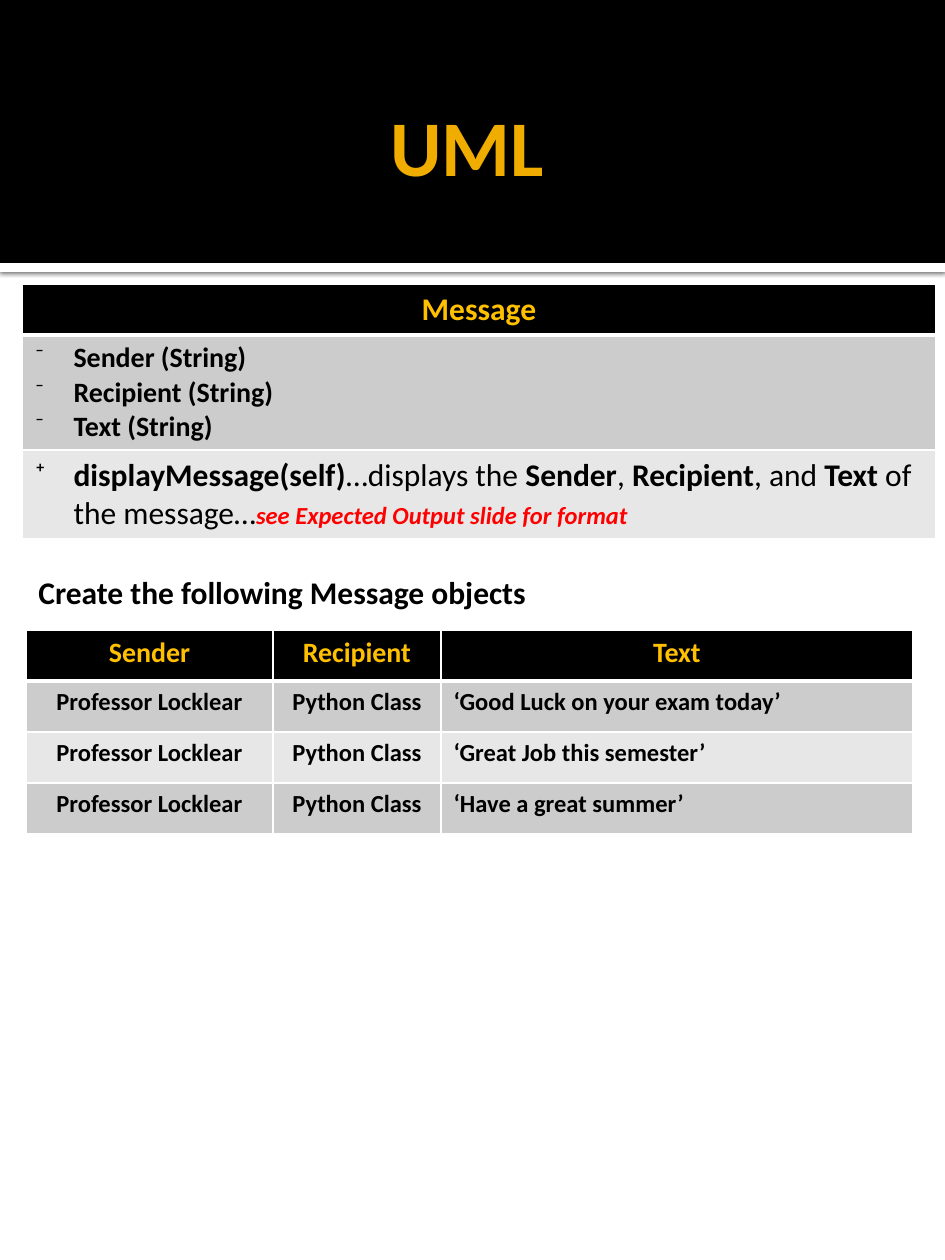
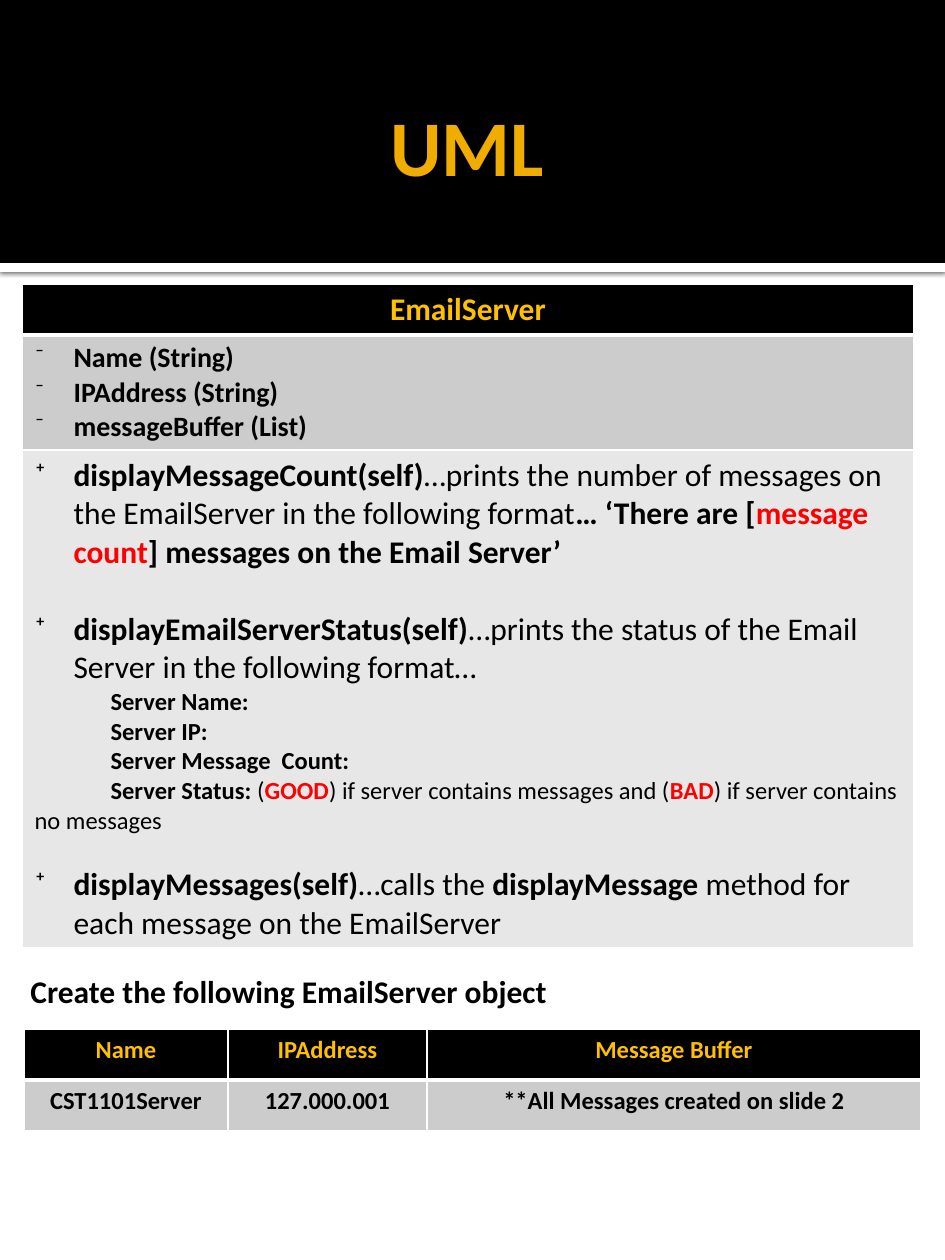
from lxml import etree
from pptx import Presentation
from pptx.dml.color import RGBColor
from pptx.enum.shapes import MSO_SHAPE
from pptx.enum.text import MSO_ANCHOR, PP_ALIGN
from pptx.oxml import parse_xml
from pptx.oxml.ns import nsdecls, qn
from pptx.util import Pt

RECTANGLE = MSO_SHAPE.RECTANGLE
MIDDLE = MSO_ANCHOR.MIDDLE
LEFT, CENTER = PP_ALIGN.LEFT, PP_ALIGN.CENTER

PX = 914400 / 126
BLACK = RGBColor(0x00, 0x00, 0x00)
WHITE = RGBColor(0xFF, 0xFF, 0xFF)
TITLE_GOLD = RGBColor(0xF0, 0xAD, 0x00)
HEADER_GOLD = RGBColor(0xFF, 0xC0, 0x00)
RED = RGBColor(0xFF, 0x00, 0x00)
DARK_ROW = RGBColor(0xCC, 0xCC, 0xCC)
LIGHT_ROW = RGBColor(0xE7, 0xE7, 0xE7)
FONT = "Calibri"
ROW_HEIGHT = 51
BULLET_INDENT = 39
STATUS_INDENT = 76

BOLD = {"bold": True}
PLAIN = {"bold": False}
RED_BOLD = {"bold": True, "color": RED}
RED_NOTE = {"bold": True, "color": RED, "italic": True, "size": 14}

UML_SLIDES = [
    {
        "class": "Message",
        "class_width": 914,
        "row_heights": [ROW_HEIGHT, 115, 89],
        "attributes": ["Sender (String)", "Recipient (String)", "Text (String)"],
        "methods": [
            ("method", 0, [
                ("displayMessage(self)", BOLD), ("…displays the ", PLAIN),
                ("Sender", BOLD), (", ", PLAIN), ("Recipient", BOLD),
                (", and ", PLAIN), ("Text", BOLD), (" of the message…", PLAIN),
                ("see Expected Output slide for format", RED_NOTE)]),
        ],
        "caption": "Create the following Message objects",
        "caption_at": (26, 567),
        "objects_at": (26, 630),
        "columns": [247, 168, 472],
        "header_size": 16,
        "last_align": LEFT,
        "objects": [
            ["Sender", "Recipient", "Text"],
            ["Professor Locklear", "Python Class", "‘Good Luck on your exam today’"],
            ["Professor Locklear", "Python Class", "‘Great Job this semester’"],
            ["Professor Locklear", "Python Class", "‘Have a great summer’"],
        ],
    },
    {
        "class": "EmailServer",
        "class_width": 892,
        "row_heights": [ROW_HEIGHT, 115, 498],
        "attributes": ["Name (String)", "IPAddress (String)", "messageBuffer (List)"],
        "methods": [
            ("method", 0, [
                ("displayMessageCount(self)", BOLD),
                ("…prints the number of messages on the EmailServer in the following format", PLAIN),
                ("… ‘There are [", BOLD), ("message count", RED_BOLD),
                ("] messages on the Email Server’", BOLD)]),
            ("method", 22, [
                ("displayEmailServerStatus(self)", BOLD),
                ("…prints the status of the Email Server in the following format…", PLAIN)]),
            ("status", 0, [("Server Name:", BOLD)]),
            ("status", 0, [("Server IP:", BOLD)]),
            ("status", 0, [("Server Message  Count:", BOLD)]),
            ("status", 0, [
                ("Server Status: ", BOLD), ("(", PLAIN), ("GOOD", RED_BOLD),
                (") if server contains messages and (", PLAIN), ("BAD", RED_BOLD),
                (") if server contains no messages", PLAIN)]),
            ("method", 17, [
                ("displayMessages(self)", BOLD), ("…calls the ", PLAIN),
                ("displayMessage", BOLD),
                (" method for each message on the EmailServer", PLAIN)]),
        ],
        "caption": "Create the following EmailServer object",
        "caption_at": (18, 966),
        "objects_at": (24, 1029),
        "columns": [204, 199, 494],
        "header_size": 14,
        "last_align": CENTER,
        "objects": [
            ["Name", "IPAddress", "Message Buffer"],
            ["CST1101Server", "127.000.001", "**All Messages created on slide 2"],
        ],
    },
]


def add_para(frame, runs, size, color=BLACK, align=LEFT, bullet=None, indent=0, before=0):
    para = frame.paragraphs[0]
    if para.runs:
        para = frame.add_paragraph()
    para.alignment = align
    para.space_before = Pt(before)
    properties = para._p.get_or_add_pPr()
    if bullet:
        properties.set("marL", str(round(BULLET_INDENT * PX)))
        properties.set("indent", str(round(-BULLET_INDENT * PX)))
        etree.SubElement(properties, qn("a:buFont")).set("typeface", FONT)
        etree.SubElement(properties, qn("a:buChar")).set("char", bullet)
    elif indent:
        properties.set("marL", "0")
        properties.set("indent", str(round(indent * PX)))
    for text, style in runs:
        span = para.add_run()
        span.text = text
        span.font.name = FONT
        span.font.size = Pt(style.get("size", size))
        span.font.bold = style["bold"]
        span.font.italic = style.get("italic", False)
        span.font.color.rgb = style.get("color", color)


def add_grid(page, left, top, widths, heights):
    frame = page.shapes.add_table(
        len(heights), len(widths), round(left * PX), round(top * PX),
        round(sum(widths) * PX), round(sum(heights) * PX))
    grid = frame.table
    for column, width in zip(grid.columns, widths):
        column.width = round(width * PX)
    for number, (row, height) in enumerate(zip(grid.rows, heights)):
        row.height = round(height * PX)
        for cell in row.cells:
            cell.fill.solid()
            cell.fill.fore_color.rgb = (BLACK if number == 0 else
                                        DARK_ROW if number % 2 else LIGHT_ROW)
            borders = {"lnL": 1, "lnR": 1,
                       "lnT": 3 if number == 1 else 1,
                       "lnB": 3 if number == 0 else 1}
            for position, (side, points) in enumerate(borders.items()):
                cell._tc.get_or_add_tcPr().insert(position, parse_xml(
                    f'<a:{side} {nsdecls("a")} w="{Pt(points)}"><a:solidFill>'
                    f'<a:srgbClr val="{WHITE}"/></a:solidFill></a:{side}>'))
    return grid


deck = Presentation()
deck.slide_width = round(945 * PX)
deck.slide_height = round(1260 * PX)

for uml in UML_SLIDES:
    page = deck.slides.add_slide(deck.slide_layouts[6])

    for top, height, color in [(263, 9, WHITE), (0, 263, BLACK)]:
        band = page.shapes.add_shape(
            RECTANGLE, 0, round(top * PX), deck.slide_width, round(height * PX))
        band.shadow.inherit = False
        band.fill.solid()
        band.fill.fore_color.rgb = color
        band.line.fill.background()
        if color == WHITE:
            effects = band._element.spPr.find(qn("a:effectLst"))
            effects.append(parse_xml(
                f'<a:outerShdw {nsdecls("a")} blurRad="{Pt(2.5)}" dist="{Pt(0.8)}" '
                f'dir="5400000" algn="t" rotWithShape="0"><a:srgbClr val="{BLACK}">'
                '<a:alpha val="60000"/></a:srgbClr></a:outerShdw>'))

    title = page.shapes.add_textbox(
        round(48 * PX), round(29 * PX), round(850 * PX), round(231 * PX))
    title.text_frame.word_wrap = True
    title.text_frame.vertical_anchor = MIDDLE
    title.text_frame.margin_right = round(6 * PX)
    add_para(title.text_frame, [("UML ", BOLD)], 45, TITLE_GOLD, CENTER)

    class_grid = add_grid(page, 22, 284, [uml["class_width"]], uml["row_heights"])
    name_frame, attribute_frame, method_frame = [
        class_grid.cell(number, 0).text_frame for number in range(3)]
    add_para(name_frame, [(uml["class"], BOLD)], 18, HEADER_GOLD, CENTER)
    for attribute in uml["attributes"]:
        add_para(attribute_frame, [(attribute, BOLD)], 16, bullet="⁻")
    for kind, before, runs in uml["methods"]:
        if kind == "method":
            add_para(method_frame, runs, 18, bullet="⁺", before=before)
        else:
            add_para(method_frame, runs, 14, indent=STATUS_INDENT, before=before)

    objects = uml["objects"]
    object_grid = add_grid(page, *uml["objects_at"], uml["columns"],
                           [ROW_HEIGHT] * len(objects))
    for row, values in enumerate(objects):
        for column, value in enumerate(values):
            frame = object_grid.cell(row, column).text_frame
            if row == 0:
                add_para(frame, [(value, BOLD)], uml["header_size"], HEADER_GOLD, CENTER)
            else:
                align = uml["last_align"] if column == 2 else CENTER
                add_para(frame, [(value, BOLD)], 14, align=align)

    left, top = uml["caption_at"]
    caption = page.shapes.add_textbox(
        round(left * PX), round(top * PX), round(872 * PX), round(50 * PX))
    caption.text_frame.word_wrap = True
    add_para(caption.text_frame, [(uml["caption"], BOLD)], 18)

deck.save("out.pptx")
